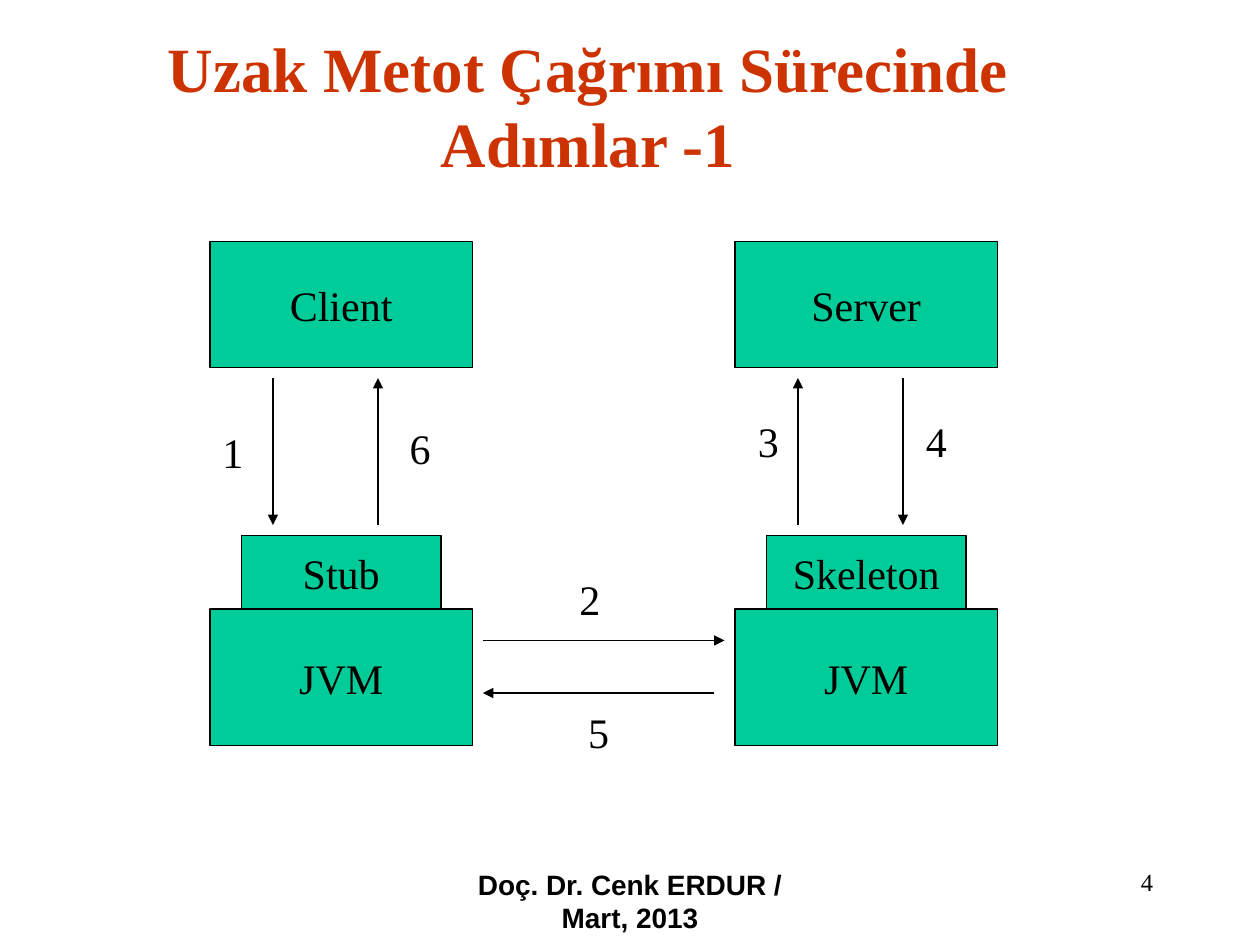
from lxml import etree
from pptx import Presentation
from pptx.dml.color import RGBColor
from pptx.enum.shapes import MSO_CONNECTOR, MSO_SHAPE
from pptx.enum.text import MSO_ANCHOR, PP_ALIGN
from pptx.oxml.ns import qn
from pptx.util import Pt

LEFT, CENTER, RIGHT = PP_ALIGN.LEFT, PP_ALIGN.CENTER, PP_ALIGN.RIGHT
TOP, MIDDLE = MSO_ANCHOR.TOP, MSO_ANCHOR.MIDDLE
RECTANGLE = MSO_SHAPE.RECTANGLE
STRAIGHT = MSO_CONNECTOR.STRAIGHT

COLORS = {"title": "CC3300", "box": "00CC99", "ink": "000000"}
LINE_WIDTH = 0.75
BOX_WIDTH = 150
ARROW_TOP, ARROW_BOTTOM = 216, 300

TITLE_FONT = {"size": Pt(36), "bold": True, "name": "Times New Roman"}
FOOTER_FONT = {"size": Pt(16), "bold": True, "name": "Arial"}
NUMBER_FONT = {"size": Pt(14), "bold": False, "name": "Times New Roman"}
DIAGRAM_FONT = {"size": Pt(24), "bold": False, "name": "Times New Roman"}

# Left edge of each side, upper box, middle box
SIDES = [(120, "Client", "Stub"), (420, "Server", "Skeleton")]

# Start x, start y, end x, end y, step number, number left, number top
STEPS = [
    (156, ARROW_TOP, 156, ARROW_BOTTOM, "1", 120, 240),
    (276, 366, 414, 366, "2", 324, 324),
    (456, ARROW_BOTTOM, 456, ARROW_TOP, "3", 426, 234),
    (516, ARROW_TOP, 516, ARROW_BOTTOM, "4", 522, 234),
    (408, 396, 276, 396, "5", 329, 400),
    (216, ARROW_BOTTOM, 216, ARROW_TOP, "6", 227, 238),
]


def color(name):
    return RGBColor.from_string(COLORS[name])


class DiagramSlide:
    """Draws styled elements on one slide, with all lengths in points."""

    def __init__(self, slide):
        self.slide = slide

    def fill_text(self, shape, text, font, align, anchor, wrap, ink="ink"):
        frame = shape.text_frame
        frame.word_wrap = wrap
        frame.vertical_anchor = anchor
        paragraph = frame.paragraphs[0]
        paragraph.alignment = align
        run = paragraph.add_run()
        run.text = text
        for name, value in font.items():
            setattr(run.font, name, value)
        run.font.color.rgb = color(ink)

    def text(self, text, bounds, font, align=LEFT, anchor=TOP, wrap=True, ink="ink"):
        shape = self.slide.shapes.add_textbox(*map(Pt, bounds))
        self.fill_text(shape, text, font, align, anchor, wrap, ink)

    def box(self, text, bounds):
        shape = self.slide.shapes.add_shape(RECTANGLE, *map(Pt, bounds))
        shape.shadow.inherit = False
        shape.fill.solid()
        shape.fill.fore_color.rgb = color("box")
        self.outline(shape)
        self.fill_text(shape, text, DIAGRAM_FONT, CENTER, MIDDLE, False)

    def arrow(self, *ends):
        connector = self.slide.shapes.add_connector(STRAIGHT, *map(Pt, ends))
        self.outline(connector)
        properties = connector._element.spPr
        etree.SubElement(properties.find(qn("a:ln")), qn("a:tailEnd"), type="triangle")
        etree.SubElement(properties, qn("a:effectLst"))

    def outline(self, shape):
        shape.line.color.rgb = color("ink")
        shape.line.width = Pt(LINE_WIDTH)


def main():
    presentation = Presentation()
    presentation.slide_width, presentation.slide_height = Pt(720), Pt(540)
    diagram = DiagramSlide(presentation.slides.add_slide(presentation.slide_layouts[6]))

    diagram.text("Doç. Dr. Cenk ERDUR / Mart, 2013", (246, 492, 228, 36), FOOTER_FONT, CENTER)
    diagram.text("4", (516, 492, 150, 36), NUMBER_FONT, RIGHT)
    diagram.text("Uzak Metot Çağrımı Sürecinde Adımlar -1", (30, 24, 612, 72),
                 TITLE_FONT, CENTER, MIDDLE, ink="title")

    for left, upper, middle in SIDES:
        diagram.box(upper, (left, 138, BOX_WIDTH, 72))
        diagram.box("JVM", (left, 348, BOX_WIDTH, 78))
        diagram.box(middle, (left + 18, 306, BOX_WIDTH - 36, 42))

    for *ends, number, left, top in STEPS:
        diagram.arrow(*ends)
        diagram.text(number, (left, top, 26, 36), DIAGRAM_FONT, wrap=False)

    presentation.save("out.pptx")


if __name__ == "__main__":
    main()
